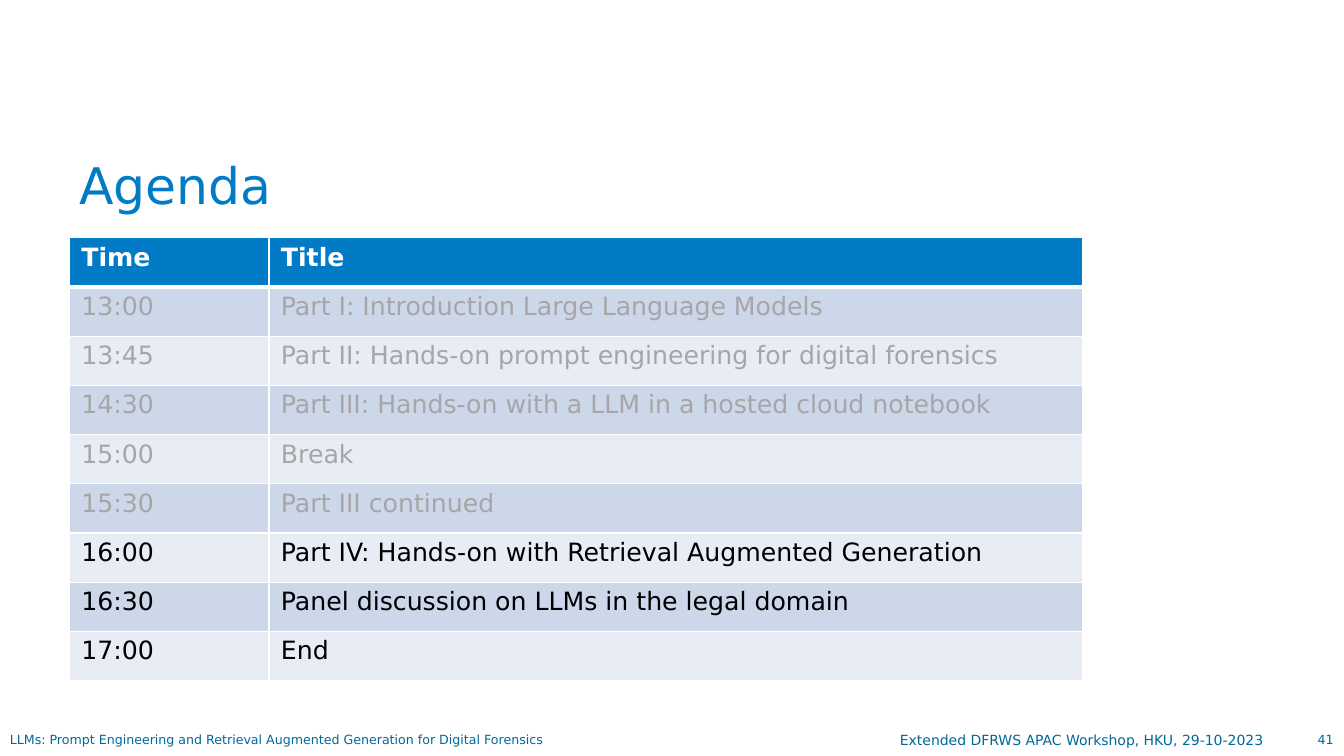
from typing import NamedTuple

from pptx import Presentation
from pptx.dml.color import RGBColor
from pptx.enum.text import MSO_ANCHOR as Anchor, PP_ALIGN as Align
from pptx.oxml import parse_xml
from pptx.oxml.ns import nsdecls
from pptx.slide import Slide
from pptx.table import _Cell as Cell
from pptx.text.text import TextFrame
from pptx.util import Cm, Pt

FONT = "DejaVu Sans"
COLORS = {
    "blue": "017BC6",
    "footer": "01689B",
    "band_dark": "CCD7EA",
    "band_light": "E7ECF5",
    "done": "A6A6A6",
    "black": "000000",
    "white": "FFFFFF",
}
MARGIN = 1.75
FOOTER_TOP, FOOTER_HEIGHT = 18.31, 0.74
TABLE_TOP, ROW_HEIGHT = 5.99, 1.24
COL_WIDTHS = (5.03, 20.5)
THIN, THICK = 1, 3


class Session(NamedTuple):
    time: str
    title: str
    done: bool = False


class Footer(NamedTuple):
    text: str
    left: float
    width: float
    size: float
    align: Align


AGENDA = [
    Session("13:00", "Part I: Introduction Large Language Models", True),
    Session("13:45", "Part II: Hands-on prompt engineering for digital forensics", True),
    Session("14:30", "Part III: Hands-on with a LLM in a hosted cloud notebook", True),
    Session("15:00", "Break", True),
    Session("15:30", "Part III continued", True),
    Session("16:00", "Part IV: Hands-on with Retrieval Augmented Generation"),
    Session("16:30", "Panel discussion on LLMs in the legal domain"),
    Session("17:00", "End"),
]
FOOTERS = [
    Footer("LLMs: Prompt Engineering and Retrieval Augmented Generation for Digital Forensics",
           0, 18.06, 9, Align.LEFT),
    Footer("Extended DFRWS APAC Workshop, HKU, 29-10-2023", 19.84, 12.24, 10, Align.RIGHT),
    Footer("41", 32.11, 1.75, 9, Align.RIGHT),
]


def rgb(name: str) -> RGBColor:
    return RGBColor.from_string(COLORS[name])


def write(tf: TextFrame, text: str, *, size: float, color: str, bold: bool = False,
          align: Align = Align.LEFT, spacing: float = 1.0) -> None:
    p = tf.paragraphs[0]
    p.alignment = align
    p.line_spacing = spacing
    r = p.add_run()
    r.text = text
    r.font.name = FONT
    r.font.size = Pt(size)
    r.font.bold = bold
    r.font.color.rgb = rgb(color)


def add_box(s: Slide, left: float, top: float, width: float, height: float,
            anchor: Anchor = Anchor.TOP) -> TextFrame:
    tf = s.shapes.add_textbox(Cm(left), Cm(top), Cm(width), Cm(height)).text_frame
    tf.word_wrap = True
    tf.vertical_anchor = anchor
    return tf


def set_borders(cell: Cell, top: float, bottom: float) -> None:
    """Give the cell white borders, with the top and bottom widths in points."""
    tc_pr = cell._tc.get_or_add_tcPr()
    for side, width in (("L", THIN), ("R", THIN), ("T", top), ("B", bottom)):
        tc_pr.append(parse_xml(
            f'<a:ln{side} {nsdecls("a")} w="{Pt(width)}"><a:solidFill>'
            f'<a:srgbClr val="{COLORS["white"]}"/></a:solidFill></a:ln{side}>'))


def add_agenda(s: Slide) -> None:
    rows = [Session("Time", "Title"), *AGENDA]
    table = s.shapes.add_table(
        len(rows), len(COL_WIDTHS), Cm(MARGIN), Cm(TABLE_TOP),
        Cm(sum(COL_WIDTHS)), Cm(ROW_HEIGHT * len(rows))).table
    for column, width in zip(table.columns, COL_WIDTHS):
        column.width = Cm(width)
    for i, session in enumerate(rows):
        table.rows[i].height = Cm(ROW_HEIGHT)
        header = i == 0
        if header:
            fill, color = "blue", "white"
        else:
            fill = "band_dark" if i % 2 else "band_light"
            color = "done" if session.done else "black"
        for cell, text in zip(table.rows[i].cells, (session.time, session.title)):
            cell.margin_left = cell.margin_right = Cm(0.3)
            cell.margin_top = cell.margin_bottom = Cm(0.13)
            set_borders(cell, top=THICK if i == 1 else THIN, bottom=THICK if header else THIN)
            cell.fill.solid()
            cell.fill.fore_color.rgb = rgb(fill)
            write(cell.text_frame, text, size=18, color=color, bold=header)


def main() -> None:
    prs = Presentation()
    prs.slide_width, prs.slide_height = Cm(33.87), Cm(19.05)
    s = prs.slides.add_slide(prs.slide_layouts[6])
    title = add_box(s, MARGIN, 2.92, 30.35, 2.64, Anchor.BOTTOM)
    write(title, "Agenda", size=36, color="blue", spacing=0.9)
    add_agenda(s)
    for footer in FOOTERS:
        tf = add_box(s, footer.left, FOOTER_TOP, footer.width, FOOTER_HEIGHT)
        write(tf, footer.text, size=footer.size, color="footer", align=footer.align)
    prs.save("out.pptx")


if __name__ == "__main__":
    main()
